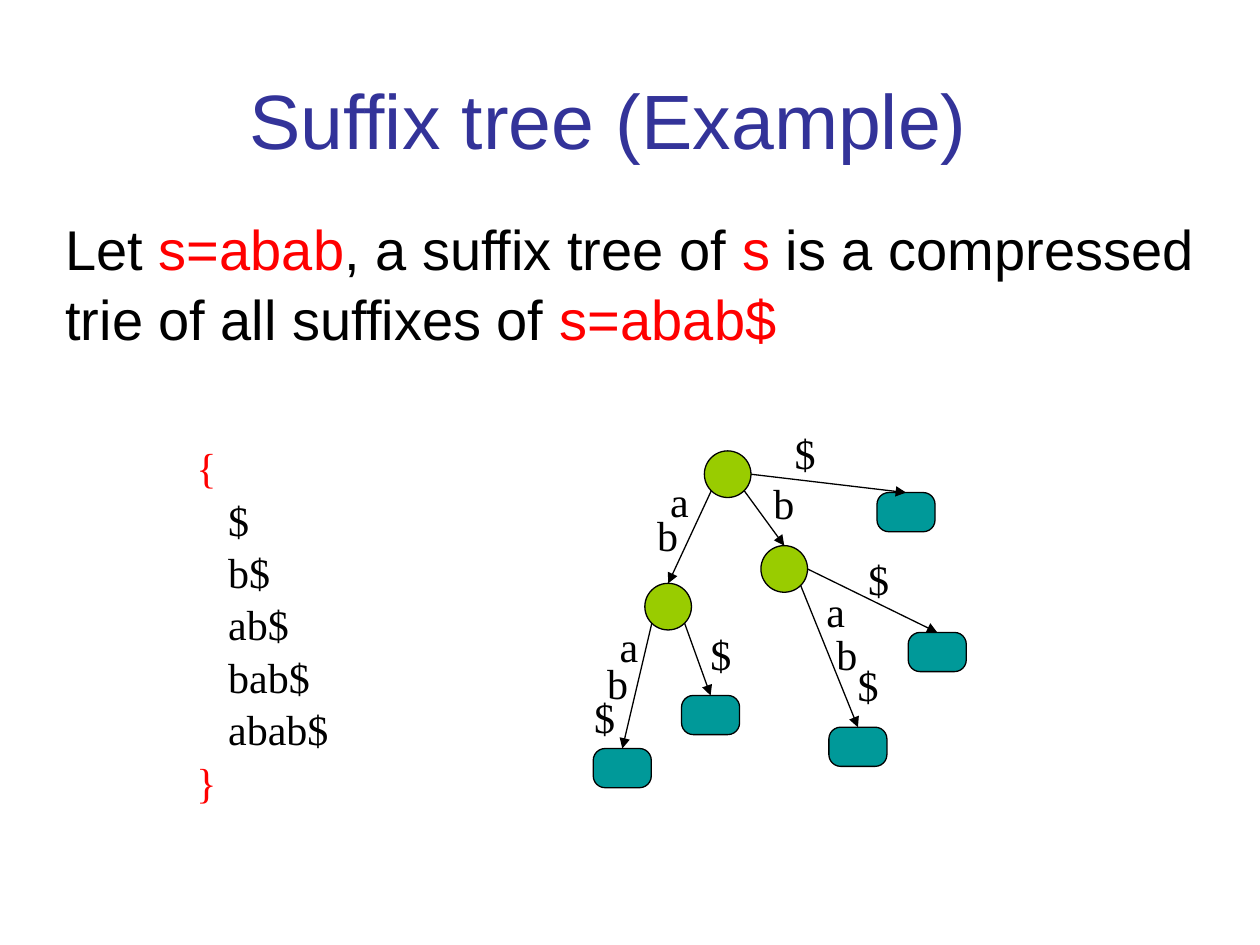
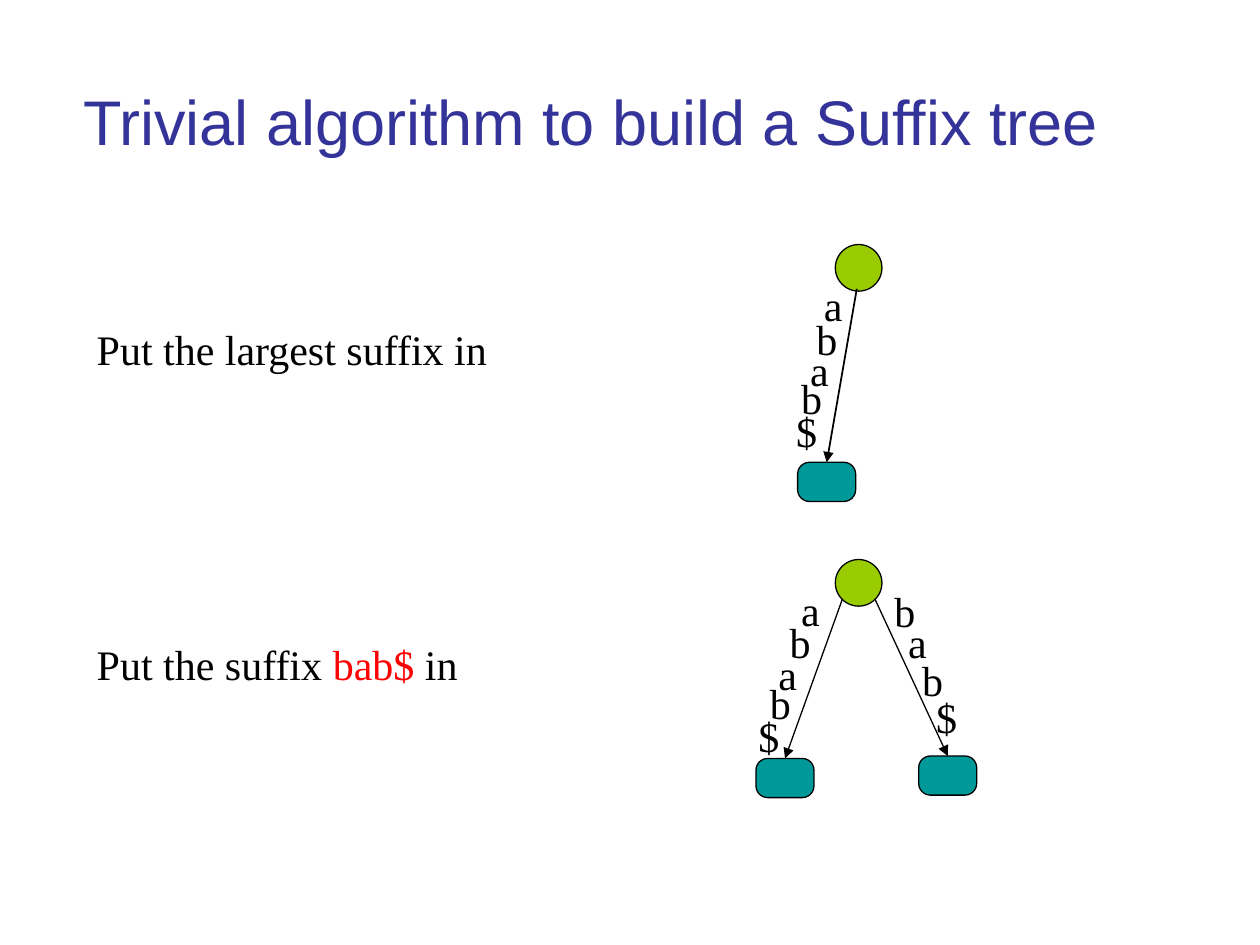
from lxml.etree import SubElement as Sub
from pptx import Presentation
from pptx.dml.color import RGBColor as RGB
from pptx.enum.shapes import MSO_CONNECTOR as Line, MSO_SHAPE as Shape
from pptx.enum.text import MSO_ANCHOR as Anchor, PP_ALIGN as Align
from pptx.oxml.ns import qn
from pptx.util import Cm, Pt

BLUE = RGB(0x33, 0x33, 0x99)
RED = RGB(0xFF, 0, 0)
BLACK = RGB(0, 0, 0)
LIME = RGB(0x99, 0xCC, 0)
TEAL = RGB(0, 0x99, 0x99)
SANS, SERIF = "Arial", "Times New Roman"

# Node sizes, and where an edge leaves a circle (in radii from its centre)
DOT = 0.94
LEAF = (1.17, 0.79)
LEFT, RIGHT, EAST, DOWN = (-0.7, 0.7), (0.7, 0.7), (1, 0), (-0.08, 0.9)


def write(slide, box, paras, size=24, font=SERIF):
    """Add a text box; each paragraph is a list of (text, colour)."""
    frame = slide.shapes.add_textbox(*map(Cm, box)).text_frame
    frame.word_wrap = True
    for i, runs in enumerate(paras):
        para = frame.add_paragraph() if i else frame.paragraphs[0]
        para.line_spacing = 1.04
        for text, hue in runs:
            run = para.add_run()
            run.text = text
            run.font.size = Pt(size)
            run.font.name = font
            run.font.color.rgb = hue
    return frame


# Titles: text, left, top, size
heads = [
    ("Suffix tree (Example)", 0.84, 0.76, 44),
    ("Trivial algorithm to build a Suffix tree", 0.48, 0.81, 36),
]

# Trees: circles, leaves, and edges as
# (parent, exit side, child, line width, label, label places)
trees = [
    (
        [(14.2, 9.09), (13, 11.76), (15.34, 11)],
        [(11.96, 15.09), (13.74, 14.02), (16.71, 14.66), (18.31, 12.75),
         (17.68, 9.93)],
        [
            (0, LEFT, 1, 0.74, "ab", [(13.26, 9.42), (13, 10.11)]),
            (0, RIGHT, 2, 0.74, "b", [(15.34, 9.47)]),
            (0, EAST, 7, 0.74, "$", [(15.77, 8.46)]),
            (1, LEFT, 3, 0.74, "ab$",
             [(12.24, 12.34), (11.99, 13.08), (11.73, 13.77)]),
            (1, RIGHT, 4, 0.74, "$", [(14.07, 12.5)]),
            (2, RIGHT, 5, 0.74, "ab$",
             [(16.41, 11.63), (16.61, 12.5), (17.04, 13.13)]),
            (2, EAST, 6, 0.74, "$", [(17.25, 11)]),
        ],
    ),
    (
        [(16.84, 4.93), (16.84, 11.28)],
        [(16.08, 9.32), (15.24, 15.29), (18.52, 15.24)],
        [
            (0, DOWN, 2, 0.99, "abab$",
             [(16.36, 5.46), (16.21, 6.15), (16.08, 6.78), (15.9, 7.34),
              (15.8, 8)]),
            (1, LEFT, 3, 0.74, "abab$",
             [(15.9, 11.61), (15.67, 12.27), (15.44, 12.9), (15.27, 13.49),
              (15.04, 14.15)]),
            (1, RIGHT, 4, 0.74, "bab$",
             [(17.78, 11.63), (18.06, 12.27), (18.34, 13.03),
              (18.62, 13.77)]),
        ],
    ),
]

deck = Presentation()
deck.slide_width, deck.slide_height = Cm(25.4), Cm(19.05)

for (title, left, top, size), (dots, leaves, edges) in zip(heads, trees):
    slide = deck.slides.add_slide(deck.slide_layouts[6])

    # Title
    frame = write(slide, (left, top, 22.86, 3.18), [[(title, BLUE)]], size, SANS)
    frame.vertical_anchor = Anchor.MIDDLE
    frame.paragraphs[0].alignment = Align.CENTER

    # Nodes
    nodes = [(Shape.OVAL, x, y, DOT, DOT, LIME) for x, y in dots]
    nodes += [(Shape.ROUNDED_RECTANGLE, x, y, *LEAF, TEAL) for x, y in leaves]
    for kind, x, y, wide, high, hue in nodes:
        node = slide.shapes.add_shape(kind, Cm(x), Cm(y), Cm(wide), Cm(high))
        node.shadow.inherit = False
        node.fill.solid()
        node.fill.fore_color.rgb = hue
        node.line.color.rgb = BLACK
        node.line.width = Pt(0.74)
        if kind == Shape.ROUNDED_RECTANGLE:
            node.adjustments[0] = 0.3

    # Edges run from a circle to the top middle of the child
    for start, (dx, dy), end, width, label, spots in edges:
        x, y = dots[start]
        _, cx, cy, wide, _, _ = nodes[end]
        edge = slide.shapes.add_connector(
            Line.STRAIGHT,
            Cm(x + DOT / 2 * (1 + dx)), Cm(y + DOT / 2 * (1 + dy)),
            Cm(cx + wide / 2), Cm(cy))
        edge.line.color.rgb = BLACK
        edge.line.width = Pt(width)
        Sub(edge.line._get_or_add_ln(), qn("a:tailEnd"), type="triangle")
        Sub(edge._element.spPr, qn("a:effectLst"))
        for char, (x, y) in zip(label, spots):
            write(slide, (x, y, 1.07, 1.27), [[(char, BLACK)]])

first, second = deck.slides

# Definition and list of suffixes
write(first, (1.07, 4.14, 23.5, 2.97), [[
    ("Let ", BLACK), ("s=abab", RED), (", a suffix tree of ", BLACK),
    ("s", RED), (" is a compressed trie of all suffixes of ", BLACK),
    ("s=abab$", RED)]], 32, SANS)
items = ["$", "b$", "ab$", "bab$", "abab$"]
frame = write(first, (3.71, 8.74, 3.38, 7.37),
              [[("{", RED)], *[[(item, BLACK)] for item in items], [("}", RED)]])
for para in frame.paragraphs[1:-1]:
    para._p.get_or_add_pPr().set("marL", str(Cm(0.64)))

# Steps of the algorithm
steps = [
    [("Put the largest suffix in", BLACK)],
    [("Put the suffix ", BLACK), ("bab$", RED), (" in", BLACK)],
]
for i, step in enumerate(steps):
    write(second, (1.7, 6.35 * (i + 1), 9.73, 1.27), [step])

deck.save("out.pptx")
